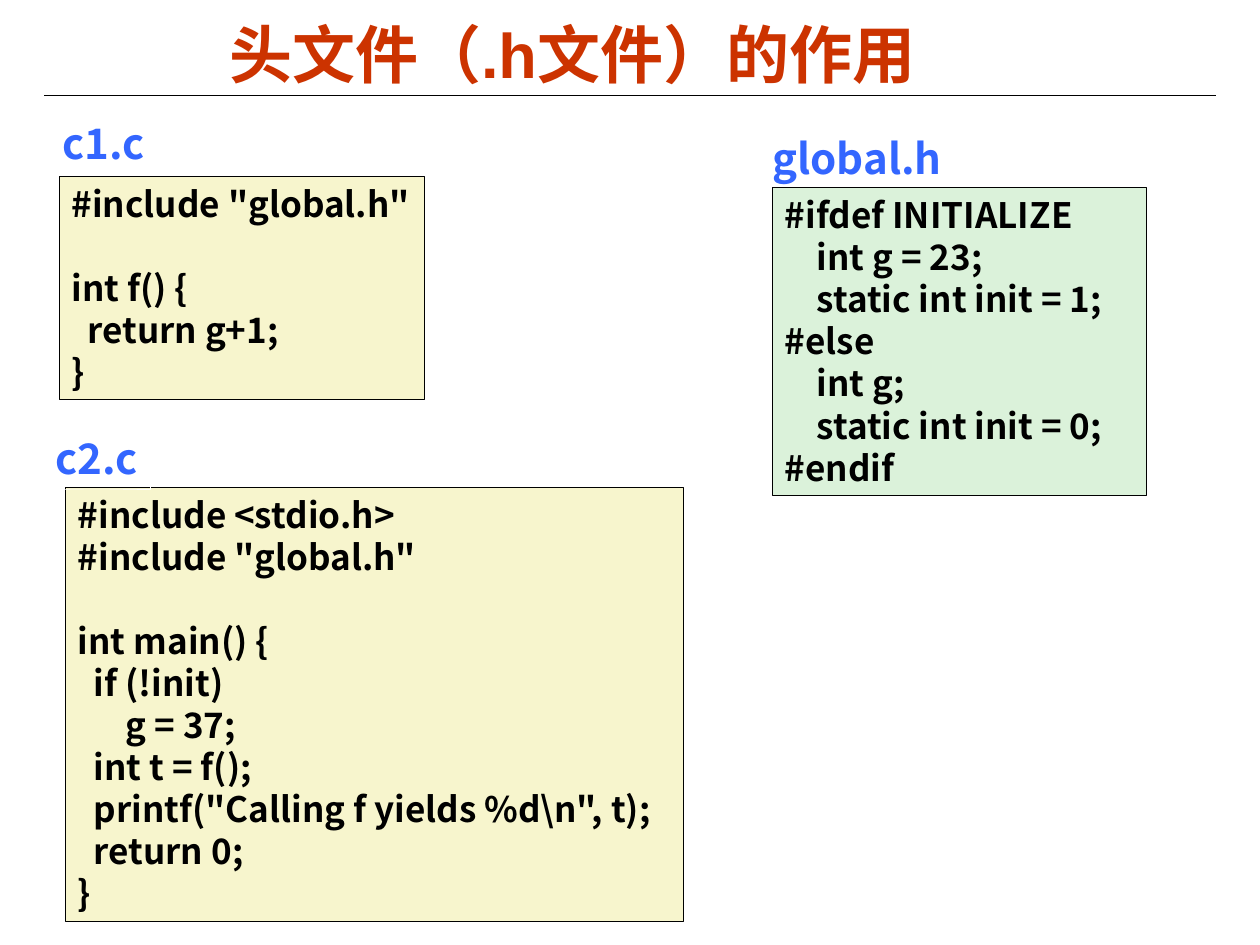
from lxml.etree import SubElement
from pptx import Presentation
from pptx.dml.color import RGBColor
from pptx.enum.shapes import MSO_CONNECTOR, MSO_SHAPE
from pptx.enum.text import MSO_ANCHOR, MSO_AUTO_SIZE, PP_ALIGN
from pptx.oxml.ns import qn
from pptx.util import Inches, Pt

COLORS = {
    "title": "CC3300", "label": "3366FF", "ink": "000000",
    "source": "F7F5CD", "header": "DBF2DA", "paper": "FFFFFF",
}
COLS, ROWS = 100, 75
CODE_FONT = "Noto Sans CJK SC"

C1 = '''#include "global.h"

int f() {
  return g+1;
}'''

C2 = r'''#include <stdio.h>
#include "global.h"

int main() {
  if (!init)
      g = 37;
  int t = f();
  printf("Calling f yields %d\n", t);
  return 0;
}'''

GLOBAL_H = '''#ifdef INITIALIZE
    int g = 23;
    static int init = 1;
#else
    int g;
    static int init = 0;
#endif'''


class CodeSlide:
    def __init__(self, prs):
        self.col = prs.slide_width / COLS
        self.row = prs.slide_height / ROWS
        self.slide = prs.slides.add_slide(prs.slide_layouts[5])

    def place(self, x, y, w, h):
        return (round(x * self.col), round(y * self.row),
                round(w * self.col), round(h * self.row))

    def color(self, name):
        return RGBColor.from_string(COLORS[name])

    def add_text(self, p, text, size, font, color):
        r = p.add_run()
        r.text = text
        r.font.size, r.font.name, r.font.bold = Pt(size), font, True
        r.font.color.rgb = self.color(color)

    def title(self, text, *cells):
        sp = self.slide.shapes.title
        sp.left, sp.top, sp.width, sp.height = self.place(*cells)
        tf = sp.text_frame
        tf.auto_size = MSO_AUTO_SIZE.NONE
        tf.vertical_anchor = MSO_ANCHOR.MIDDLE
        p = tf.paragraphs[0]
        p.alignment, p.line_spacing = PP_ALIGN.CENTER, 1.0
        self.add_text(p, text, 36, "Arial", "title")

    def rule(self, x1, x2, y):
        left, top, width, _ = self.place(x1, y, x2 - x1, 0)
        line = self.slide.shapes.add_connector(
            MSO_CONNECTOR.STRAIGHT, left, top, left + width, top)
        line.line.color.rgb, line.line.width = self.color("ink"), Pt(0.75)
        SubElement(line._element.spPr, qn("a:effectLst"))

    def box(self, text, cells, size, color, border, fill=None, wrap=False):
        sp = self.slide.shapes.add_shape(MSO_SHAPE.RECTANGLE, *self.place(*cells))
        sp.shadow.inherit = False
        sp.line.color.rgb, sp.line.width = self.color(border), Pt(0.25)
        if fill:
            sp.fill.solid()
            sp.fill.fore_color.rgb = self.color(fill)
        else:
            sp.fill.background()
        tf = sp.text_frame
        tf.word_wrap = wrap
        tf.auto_size = MSO_AUTO_SIZE.SHAPE_TO_FIT_TEXT
        tf.vertical_anchor = MSO_ANCHOR.TOP
        for i, line in enumerate(text.split("\n")):
            p = tf.add_paragraph() if i else tf.paragraphs[0]
            p.alignment, p.line_spacing = PP_ALIGN.LEFT, Pt(size * 1.2)
            if line:
                self.add_text(p, line, size, CODE_FONT, color)

    def label(self, text, *cells):
        self.box(text, cells, 24, "label", "paper")

    def code(self, text, *cells, fill="source", wrap=False):
        self.box(text, cells, 20, "ink", "ink", fill, wrap)


def main():
    prs = Presentation()
    prs.slide_width, prs.slide_height = Inches(10), Inches(7.5)
    s = CodeSlide(prs)

    # Heading
    s.rule(3.5, 96.5, 7.6)
    s.title("头文件（.h文件）的作用", 3.9, 0.3, 83, 7.9)

    # First source file
    s.code(C1, 4.7, 14, 29, 17.7)
    s.label("c1.c", 4, 8.8, 8.5, 5)

    # Shared header
    s.label("global.h", 60.3, 10, 15.7, 5)
    s.code(GLOBAL_H, 61.3, 14.9, 29.7, 24.4, fill="header", wrap=True)

    # Second source file
    s.code(C2, 5.2, 38.7, 49, 34.4)
    s.label("c2.c", 3.4, 33.8, 8.5, 5)

    prs.save("out.pptx")


if __name__ == "__main__":
    main()
